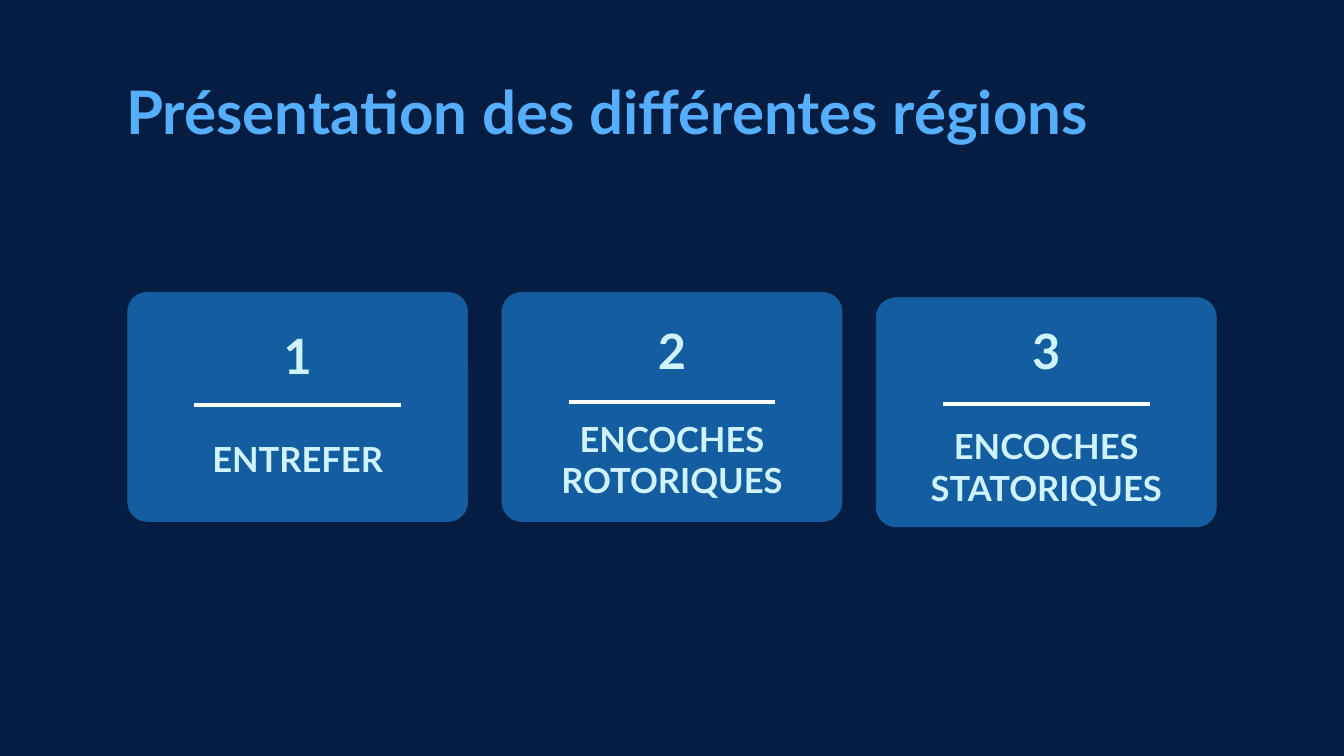
from pptx import Presentation
from pptx import util as u
from pptx.dml.color import RGBColor
from pptx.enum import shapes, text
from pptx.oxml.ns import qn
from lxml import etree

PX = 9144  # 100 px to the inch
NAVY = RGBColor(0x05, 0x1D, 0x40)
BLUE = RGBColor(0x14, 0x5D, 0xA0)
SKY = RGBColor(0x56, 0xAE, 0xFF)
ICE = RGBColor(0xCF, 0xF4, 0xFF)
WHITE = RGBColor(0xFF, 0xFF, 0xFF)

CARD_LEFT, CARD_STEP, CARD_WIDTH, CARD_HEIGHT = 190, 557, 506, 341
RULE_WIDTH, LABEL_WIDTH = 308, 587

# Card top, then number, rule and label offsets inside the card
CARDS = [
    ("1", ["ENTREFER"], 435, (50, 168, 217)),
    ("2", ["ENCOCHES", "ROTORIQUES"], 435, (43, 163, 187)),
    ("3", ["ENCOCHES STATORIQUES"], 443, (35, 158, 190)),
]

TITLE = {"size": 64.3, "color": SKY, "spacing": 77.1, "align": text.PP_ALIGN.LEFT}
NUMBER = {"size": 52.1, "color": ICE, "spacing": 62.5, "align": text.PP_ALIGN.CENTER}
LABEL = {"size": 37, "color": ICE, "spacing": 44.4, "align": text.PP_ALIGN.CENTER}


def px(*lengths):
    return [u.Emu(round(length * PX)) for length in lengths]


def write(box, lines, style):
    frame = box.text_frame
    settings = {"word_wrap": True, "auto_size": text.MSO_AUTO_SIZE.NONE,
                "vertical_anchor": text.MSO_ANCHOR.TOP, "margin_left": 0,
                "margin_right": 0, "margin_top": 0, "margin_bottom": 0}
    for name, value in settings.items():
        setattr(frame, name, value)
    for index, line in enumerate(lines):
        para = frame.paragraphs[0] if index == 0 else frame.add_paragraph()
        para.alignment = style["align"]
        para.line_spacing = u.Pt(style["spacing"])
        para.space_before = u.Pt(0)
        span = para.add_run()
        span.text = line
        for name, value in {"name": "Lato", "size": u.Pt(style["size"]), "bold": True}.items():
            setattr(span.font, name, value)
        span.font.color.rgb = style["color"]


def add_title(page, left, top, width, height):
    title = page.shapes.title
    title.left, title.top, title.width, title.height = px(left, top, width, height)
    write(title, ["Présentation des différentes régions"], TITLE)


def add_card(page, left, top, width, height, number, label, offsets):
    number_top, rule_top, label_top = (top + offset for offset in offsets)
    middle = left + width / 2

    # Rounded panel
    panel = page.shapes.add_shape(shapes.MSO_SHAPE.ROUNDED_RECTANGLE,
                                  *px(left, top, width, height))
    panel.adjustments[0] = 0.085
    panel.shadow.inherit = False
    panel.fill.solid()
    panel.fill.fore_color.rgb = BLUE
    panel.line.color.rgb = BLUE
    panel.line.width = u.Pt(0.75)

    # Number
    box = page.shapes.add_textbox(*px(left, number_top, width, 88))
    write(box, [number], NUMBER)

    # Rule
    rule = page.shapes.add_connector(
        shapes.MSO_CONNECTOR.STRAIGHT,
        *px(middle - RULE_WIDTH / 2, rule_top, middle + RULE_WIDTH / 2, rule_top))
    rule.line.color.rgb = WHITE
    rule.line.width = u.Pt(3.75)
    etree.SubElement(rule._element.spPr, qn("a:effectLst"))

    # Label
    box = page.shapes.add_textbox(*px(middle - LABEL_WIDTH / 2, label_top, LABEL_WIDTH, 123))
    write(box, label, LABEL)


def main():
    deck = Presentation()
    deck.slide_width, deck.slide_height = px(2000, 1125)
    page = deck.slides.add_slide(deck.slide_layouts[5])
    page.background.fill.solid()
    page.background.fill.fore_color.rgb = NAVY

    add_title(page, 188, 111, 1624, 108)
    for index, (number, label, top, offsets) in enumerate(CARDS):
        add_card(page, CARD_LEFT + index * CARD_STEP, top, CARD_WIDTH, CARD_HEIGHT,
                 number, label, offsets)
    deck.save("out.pptx")


if __name__ == "__main__":
    main()
